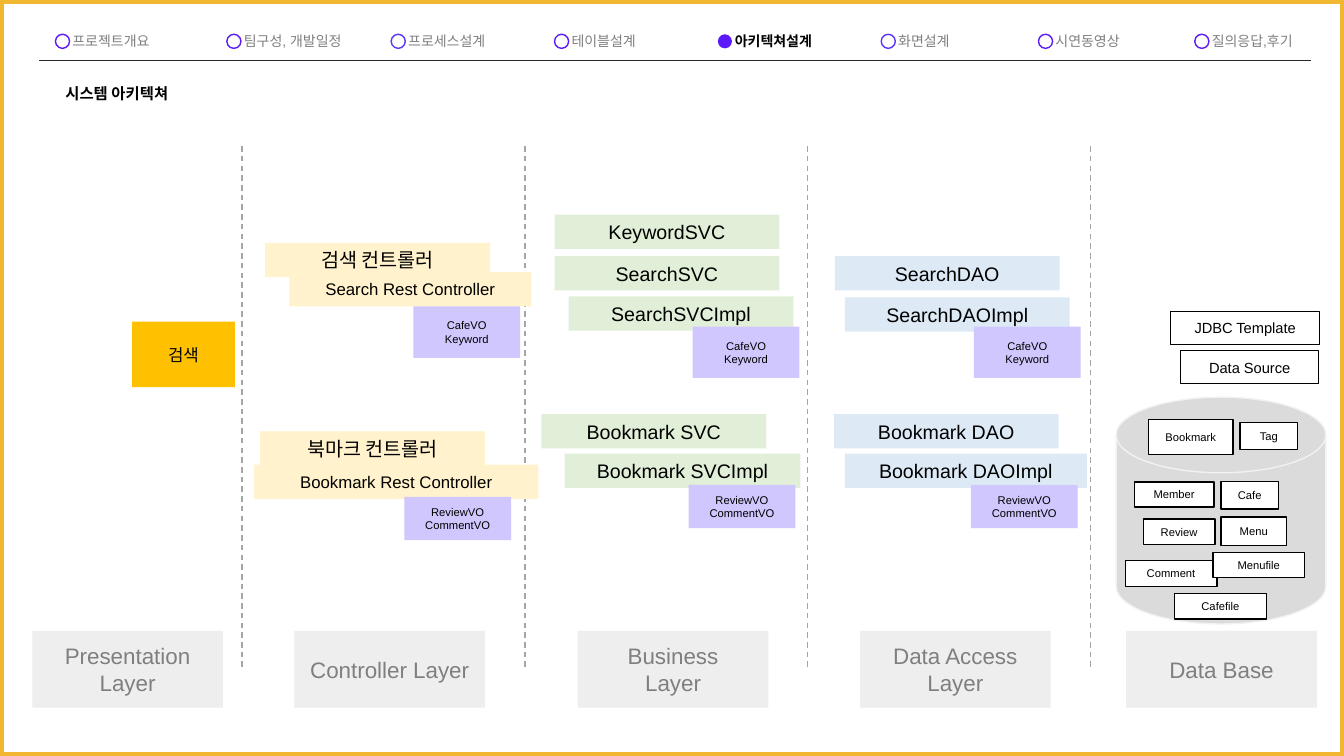
import lxml.etree
import pptx
import pptx.dml.color
import pptx.enum.dml
import pptx.enum.shapes
import pptx.enum.text
import pptx.oxml.ns
import pptx.util

COLORS = {
    "frame": "F1B731", "rule": "25282A", "violet": "5C19FA", "indigo": "5C34FA",
    "divider": "A5A5A5", "muted": "7F7F7F", "black": "000000", "white": "FFFFFF",
    "layer": "EEEEEE", "view": "FFC000", "controller": "FFF2CC", "service": "E1EFD8",
    "dao": "DDEAF6", "value": "CFC7FD", "disk": "DBDBDB", "disk_edge": "F2F2F2",
}
PAINT = {name: pptx.dml.color.RGBColor.from_string(code) for name, code in COLORS.items()}
SHAPES = pptx.enum.shapes.MSO_SHAPE
ALIGN = pptx.enum.text.PP_ALIGN
ANCHOR = pptx.enum.text.MSO_ANCHOR
COLUMNS, ROWS = 1333, 750
CELL = pptx.util.Inches(0.01)

deck = pptx.Presentation()
deck.slide_width = COLUMNS * CELL
deck.slide_height = ROWS * CELL
page = deck.slides.add_slide(deck.slide_layouts[6])


def write(box, text, size, color="black", bold=False, align=ALIGN.CENTER, anchor=ANCHOR.MIDDLE):
    frame = box.text_frame
    frame.word_wrap = True
    frame.vertical_anchor = anchor
    frame.text = text
    for para in frame.paragraphs:
        para.alignment = align
        look = {"name": "Arial", "size": pptx.util.Pt(size), "bold": bold}
        for name, value in look.items():
            setattr(para.font, name, value)
        para.font.color.rgb = PAINT[color]


def draw(area, fill=None, line=None, weight=1, kind=SHAPES.RECTANGLE):
    box = page.shapes.add_shape(kind, *[round(length * CELL) for length in area])
    box.shadow.inherit = False
    if fill:
        box.fill.solid()
        box.fill.fore_color.rgb = PAINT[fill]
    else:
        box.fill.background()
    if line:
        box.line.color.rgb = PAINT[line]
        box.line.width = pptx.util.Pt(weight)
    else:
        box.line.fill.background()
    return box


draw((0, 0, COLUMNS, ROWS), line="frame", weight=6)

dividers = [(240 + 280.6 * step, 145, 240 + 280.6 * step, 664, "divider") for step in range(4)]
for *ends, color in [(39, 60, 1300, 60, "rule")] + dividers:
    rule = page.shapes.add_connector(
        pptx.enum.shapes.MSO_CONNECTOR.STRAIGHT, *[round(end * CELL) for end in ends])
    rule.line.color.rgb = PAINT[color]
    rule.line.width = pptx.util.Pt(1)
    if color == "divider":
        rule.line.dash_style = pptx.enum.dml.MSO_LINE.DASH
    lxml.etree.SubElement(rule._element.spPr, pptx.oxml.ns.qn("a:effectLst"))

steps = [
    ("프로젝트개요", 55, 120, "violet"),
    ("팀구성, 개발일정", 225, 131, "violet"),
    ("프로세스설계", 388, 129, "indigo"),
    ("테이블설계", 550, 99, "violet"),
    ("아키텍쳐설계", 712, 129, "violet"),
    ("화면설계", 874, 99, "indigo"),
    ("시연동영상", 1030, 99, "violet"),
    ("질의응답,후기", 1185, 115, "violet"),
]
labels = [("시스템 아키텍쳐", (55, 79, 123, 47), 11, True)]
for text, left, width, color in steps:
    current = text == "아키텍쳐설계"
    draw((left, 34, 14, 14), fill=color if current else None,
         line=None if current else color, kind=SHAPES.OVAL)
    labels.append((text, (left + 7, 27, width, 27), 10, current))

for text, area, size, bold in labels:
    label = page.shapes.add_textbox(*[length * CELL for length in area])
    write(label, text, size, "black" if bold else "muted", bold, ALIGN.LEFT, ANCHOR.TOP)
    label.text_frame.auto_size = pptx.enum.text.MSO_AUTO_SIZE.SHAPE_TO_FIT_TEXT

layers = [
    ("Presentation Layer", 32), ("Controller Layer", 292), ("Business\nLayer", 573),
    ("Data Access Layer", 853), ("Data Base", 1117),
]
for text, left in layers:
    write(draw((left, 626, 189, 76), "layer"), text, 16, "muted")

write(draw((131, 319, 102, 65), "view"), "검색", 12)

components = [
    ("검색 컨트롤러", 263, 241, 223, "controller", 14),
    ("북마크 컨트롤러", 258, 428, 223, "controller", 14),
    ("Search Rest Controller", 287, 270, 240, "controller", 12),
    ("Bookmark Rest Controller", 252, 461, 282, "controller", 12),
    ("KeywordSVC", 550, 213, 223, "service", 14),
    ("SearchSVC", 550, 254, 223, "service", 14),
    ("SearchSVCImpl", 564, 294, 223, "service", 14),
    ("Bookmark SVC", 537, 411, 223, "service", 14),
    ("Bookmark SVCImpl", 560, 450, 234, "service", 14),
    ("SearchDAO", 828, 254, 223, "dao", 14),
    ("SearchDAOImpl", 838, 295, 223, "dao", 14),
    ("Bookmark DAO", 827, 411, 223, "dao", 14),
    ("Bookmark DAOImpl", 838, 450, 240, "dao", 14),
]
for text, left, top, width, fill, size in components:
    write(draw((left, top, width, 34), fill), text, size)

value_objects = [
    ("CafeVO\nKeyword", 51, [(410, 304), (687, 324), (966, 324)]),
    ("ReviewVO\nCommentVO", 43, [(401, 493), (683, 481), (963, 481)]),
]
for text, height, corners in value_objects:
    for left, top in corners:
        write(draw((left, top, 106, height), "value"), text, 8)

draw((1107, 394, 208, 225), "disk", "disk_edge", kind=SHAPES.FLOWCHART_MAGNETIC_DISK)

tables = [
    ("JDBC Template", (1161, 309, 148, 33), 10.5, 0.75),
    ("Data Source", (1171, 348, 137, 33), 10.5, 0.75),
    ("Bookmark", (1139, 416, 84, 35), 8, 1),
    ("Tag", (1230, 419, 57, 27), 8, 1),
    ("Member", (1125, 478, 79, 25), 8, 1),
    ("Cafe", (1211, 478, 57, 27), 8, 1),
    ("Review", (1134, 515, 71, 25), 8, 1),
    ("Menu", (1211, 513, 65, 28), 8, 1),
    ("Comment", (1116, 556, 91, 26), 8, 1),
    ("Menufile", (1203, 548, 91, 25), 8, 1),
    ("Cafefile", (1165, 589, 91, 25), 8, 1),
]
for text, area, size, weight in tables:
    write(draw(area, "white", "black", weight), text, size)

deck.save("out.pptx")
